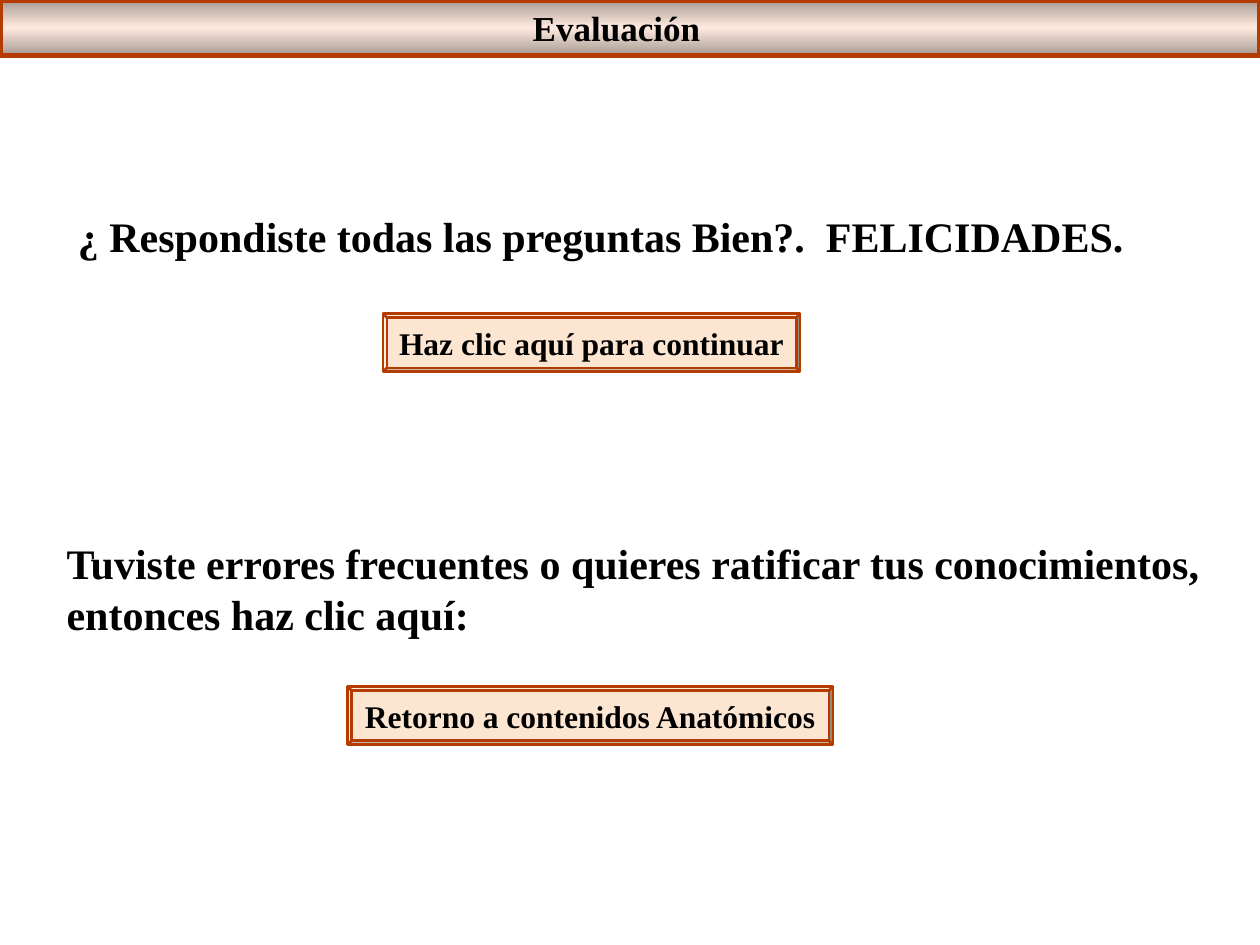
from copy import deepcopy

from pptx import Presentation
from pptx.dml.color import RGBColor
from pptx.enum.shapes import MSO_SHAPE
from pptx.enum.text import MSO_ANCHOR, MSO_AUTO_SIZE, PP_ALIGN
from pptx.util import Pt

BLACK = RGBColor(0x00, 0x00, 0x00)
RUST = RGBColor(0xB4, 0x3C, 0x00)
PEACH = RGBColor(0xFD, 0xE6, 0xD1)
BAR_EDGE = RGBColor(0xA7, 0x9A, 0x93)
BAR_MIDDLE = RGBColor(0xFE, 0xEA, 0xE0)
FONT = "Times New Roman"
BUTTON_HEIGHT = 33.12
BEVEL_DEPTH = 2.16


def write_text(frame, text, size=24, align=PP_ALIGN.LEFT,
               anchor=MSO_ANCHOR.TOP, auto_size=MSO_AUTO_SIZE.NONE):
    frame.word_wrap = False
    frame.auto_size = auto_size
    frame.vertical_anchor = anchor
    for index, line in enumerate(text.split("\n")):
        para = frame.paragraphs[0] if index == 0 else frame.add_paragraph()
        para.alignment = align
        span = para.add_run()
        span.text = line
        span.font.name = FONT
        span.font.size = Pt(size)
        span.font.bold = True
        span.font.color.rgb = BLACK


def add_text(shapes, text, left, top, width, height, **text_format):
    box = shapes.add_textbox(Pt(left), Pt(top), Pt(width), Pt(height))
    write_text(box.text_frame, text,
               auto_size=MSO_AUTO_SIZE.SHAPE_TO_FIT_TEXT, **text_format)


def add_outlined_shape(shapes, kind, left, top, width, height, line_width):
    shape = shapes.add_shape(kind, Pt(left), Pt(top), Pt(width), Pt(height))
    shape.shadow.inherit = False
    shape.line.color.rgb = RUST
    shape.line.width = Pt(line_width)
    return shape


def add_title_bar(page, title):
    group = page.shapes.add_group_shape()
    bar = add_outlined_shape(group.shapes, MSO_SHAPE.RECTANGLE,
                             0, 0, 720, 31.68, 3)
    bar.fill.gradient()
    bar.fill.gradient_angle = 270
    first_stop = bar.fill.gradient_stops[0]._gs
    first_stop.addnext(deepcopy(first_stop))
    colors = (BAR_EDGE, BAR_MIDDLE, BAR_EDGE)
    for index, stop in enumerate(bar.fill.gradient_stops):
        stop.position = index / 2
        stop.color.rgb = colors[index]
    add_text(group.shapes, title, 297.36, 0, 110.16, 31.68, size=20)


def add_button(page, label, left, top, width):
    button = add_outlined_shape(page.shapes, MSO_SHAPE.BEVEL,
                                left, top, width, BUTTON_HEIGHT, 1.5)
    button.adjustments[0] = BEVEL_DEPTH / BUTTON_HEIGHT
    button.fill.solid()
    button.fill.fore_color.rgb = PEACH
    write_text(button.text_frame, label, size=18,
               align=PP_ALIGN.CENTER, anchor=MSO_ANCHOR.MIDDLE)


def main():
    deck = Presentation()
    deck.slide_width, deck.slide_height = Pt(720), Pt(540)
    page = deck.slides.add_slide(deck.slide_layouts[6])
    add_title_bar(page, "Evaluación")
    add_text(page.shapes,
             "¿ Respondiste todas las preguntas Bien?.  FELICIDADES.",
             37.44, 116.64, 612, 36)
    add_button(page, "Haz clic aquí para continuar", 218.88, 179.28, 238.32)
    add_text(page.shapes,
             "Tuviste errores frecuentes o quieres ratificar tus conocimientos,\n"
             "entonces haz clic aquí:",
             30.96, 303.84, 666, 64.8)
    add_button(page, "Retorno a contenidos Anatómicos", 198.72, 392.4, 277.2)
    deck.save("out.pptx")


if __name__ == "__main__":
    main()
